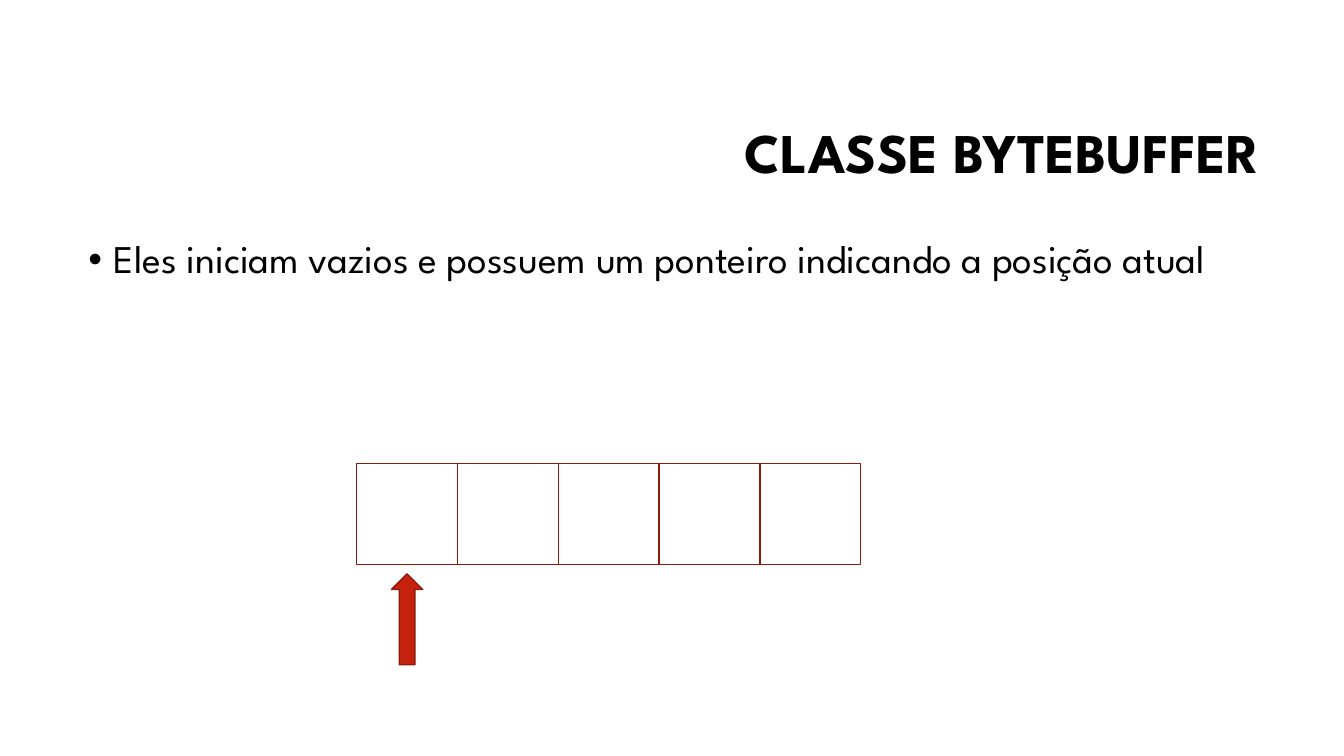
from dataclasses import dataclass

from lxml import etree
from pptx import Presentation
from pptx.dml.color import RGBColor
from pptx.enum import shapes, text
from pptx.oxml.ns import qn
from pptx.util import Cm, Pt


@dataclass(frozen=True)
class Theme:
    font: str = "League Spartan"
    title_size: int = 40
    body_size: int = 28
    ink: str = "000000"
    paper: str = "FFFFFF"
    accent: str = "C4220D"
    border: str = "91190A"
    border_width: int = 1


theme = Theme()


def add_text(slide, content, box, size, anchor):
    tf = slide.shapes.add_textbox(*map(Cm, box)).text_frame
    tf.word_wrap = True
    tf.vertical_anchor = anchor
    p = tf.paragraphs[0]
    p.text = content
    p.line_spacing = 0.9
    p.font.name = theme.font
    p.font.size = Pt(size)
    p.font.color.rgb = RGBColor.from_string(theme.ink)
    return p


def add_figure(parent, kind, box, fill):
    sp = parent.shapes.add_shape(kind, *map(Cm, box))
    sp.shadow.inherit = False
    sp.fill.solid()
    sp.fill.fore_color.rgb = RGBColor.from_string(fill)
    sp.line.color.rgb = RGBColor.from_string(theme.border)
    sp.line.width = Pt(theme.border_width)
    return sp


prs = Presentation()
prs.slide_width, prs.slide_height = Cm(33.87), Cm(19.05)
s = prs.slides.add_slide(prs.slide_layouts[6])
s.background.fill.solid()
s.background.fill.fore_color.rgb = RGBColor.from_string(theme.paper)

title = add_text(s, "CLASSE BYTEBUFFER", (8.05, 2.13, 23.93, 3.58),
                 theme.title_size, text.MSO_ANCHOR.MIDDLE)
title.alignment = text.PP_ALIGN.RIGHT
title.font.bold = True

body = add_text(s, "Eles iniciam vazios e possuem um ponteiro indicando a posição atual",
                (1.98, 5.92, 29.97, 4.39), theme.body_size, text.MSO_ANCHOR.TOP)
body.space_before = Pt(10)
pPr = body._p.get_or_add_pPr()
indent = Cm(0.64)
pPr.set("marL", str(indent))
pPr.set("indent", str(-indent))
bullet_font = etree.Element(qn("a:buFont"), typeface="Arial")
bullet = etree.Element(qn("a:buChar"), char="•")
pPr.find(qn("a:defRPr")).addprevious(bullet_font)
bullet_font.addnext(bullet)

cell_count, cell_size = 5, 2.54
buffer_left, buffer_top = 8.99, 11.68
buffer = s.shapes.add_group_shape()
for i in range(cell_count):
    add_figure(buffer, shapes.MSO_SHAPE.RECTANGLE,
               (buffer_left + i * cell_size, buffer_top, cell_size, cell_size), theme.paper)

pointer_length, pointer_width = 2.29, 0.79
pointer_left = buffer_left + (cell_size - pointer_length) / 2
pointer = add_figure(s, shapes.MSO_SHAPE.RIGHT_ARROW,
                     (pointer_left, 15.21, pointer_length, pointer_width), theme.accent)
pointer.rotation = 270

prs.save("out.pptx")
